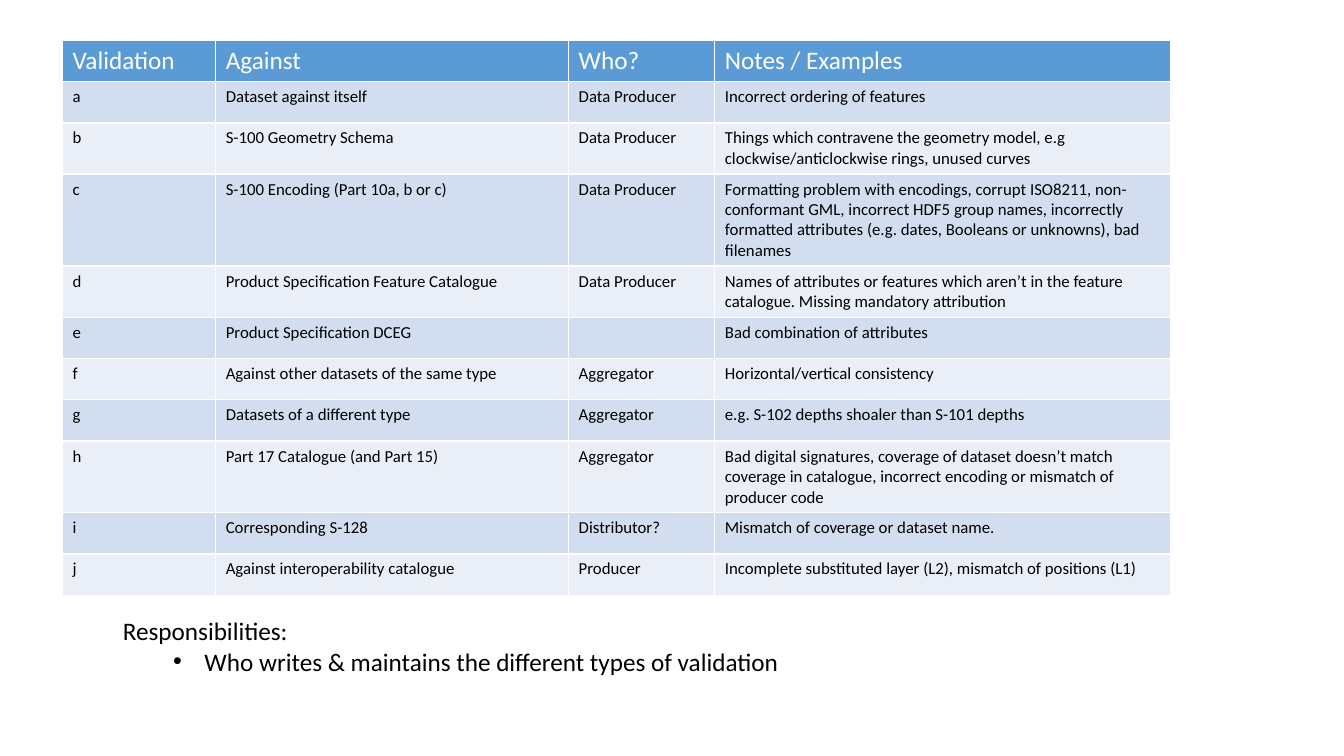
from lxml import etree
from pptx import Presentation
from pptx.dml.color import RGBColor
from pptx.oxml.ns import qn
from pptx.util import Inches, Pt

HEADER = ("Validation", "Against", "Who?", "Notes / Examples")
CHECKS = [
    ("a", "Dataset against itself", "Data Producer", "Incorrect ordering of features"),
    ("b", "S-100 Geometry Schema", "Data Producer",
     "Things which contravene the geometry model, e.g clockwise/anticlockwise rings, "
     "unused curves"),
    ("c", "S-100 Encoding (Part 10a, b or c)", "Data Producer",
     "Formatting problem with encodings, corrupt ISO8211, non-conformant GML, incorrect "
     "HDF5 group names, incorrectly formatted attributes (e.g. dates, Booleans or "
     "unknowns), bad filenames"),
    ("d", "Product Specification Feature Catalogue", "Data Producer",
     "Names of attributes or features which aren’t in the feature catalogue. "
     "Missing mandatory attribution"),
    ("e", "Product Specification DCEG", "", "Bad combination of attributes"),
    ("f", "Against other datasets of the same type", "Aggregator",
     "Horizontal/vertical consistency"),
    ("g", "Datasets of a different type", "Aggregator",
     "e.g. S-102 depths shoaler than S-101 depths"),
    ("h", "Part 17 Catalogue (and Part 15)", "Aggregator",
     "Bad digital signatures, coverage of dataset doesn’t match coverage in catalogue, "
     "incorrect encoding or mismatch of producer code"),
    ("i", "Corresponding S-128", "Distributor?", "Mismatch of coverage or dataset name."),
    ("j", "Against interoperability catalogue", "Producer",
     "Incomplete substituted layer (L2), mismatch of positions (L1)"),
]
RESPONSIBILITIES = ("Responsibilities:",
                    "Who writes & maintains the different types of validation")

COLORS = {"header": "5B9BD5", "odd": "D2DEEF", "even": "EAEFF7",
          "white": "FFFFFF", "black": "000000"}
FONT = "Calibri"
COL_WIDTHS = (1.52, 3.5, 1.45, 4.52)
ROW_HEIGHT = 0.41


def rgb(name):
    return RGBColor.from_string(COLORS[name])


def format_runs(p, size, color):
    for r in p.runs:
        r.font.name = FONT
        r.font.size = Pt(size)
        r.font.bold = False
        r.font.color.rgb = rgb(color)


def add_bullet(p):
    pPr = p._p.get_or_add_pPr()
    pPr.set("marL", str(Inches(0.81)))
    pPr.set("indent", str(Inches(-0.31)))
    etree.SubElement(pPr, qn("a:buFont")).set("typeface", "Arial")
    etree.SubElement(pPr, qn("a:buChar")).set("char", "•")


def add_validation_table(s):
    rows = [HEADER, *CHECKS]
    table = s.shapes.add_table(
        len(rows), len(HEADER), Inches(0.62), Inches(0.4),
        Inches(sum(COL_WIDTHS)), Inches(ROW_HEIGHT * len(rows))).table
    for column, width in zip(table.columns, COL_WIDTHS):
        column.width = Inches(width)
    for i, texts in enumerate(rows):
        table.rows[i].height = Inches(ROW_HEIGHT)
        if i == 0:
            fill, size, color = "header", 18, "white"
        else:
            fill, size, color = "odd" if i % 2 else "even", 12, "black"
        for j, text in enumerate(texts):
            cell = table.cell(i, j)
            cell.text = text
            cell.fill.solid()
            cell.fill.fore_color.rgb = rgb(fill)
            format_runs(cell.text_frame.paragraphs[0], size, color)


def add_responsibilities(s):
    tf = s.shapes.add_textbox(Inches(1.12), Inches(6.06),
                              Inches(9.16), Inches(1.01)).text_frame
    tf.word_wrap = True
    tf.text = "\n".join(RESPONSIBILITIES)
    for p in tf.paragraphs:
        format_runs(p, 18, "black")
    item = tf.paragraphs[1]
    item.level = 1
    add_bullet(item)


def main():
    prs = Presentation()
    prs.slide_width, prs.slide_height = Inches(13.33), Inches(7.5)
    s = prs.slides.add_slide(prs.slide_layouts[6])
    add_validation_table(s)
    add_responsibilities(s)
    prs.save("out.pptx")


if __name__ == "__main__":
    main()
